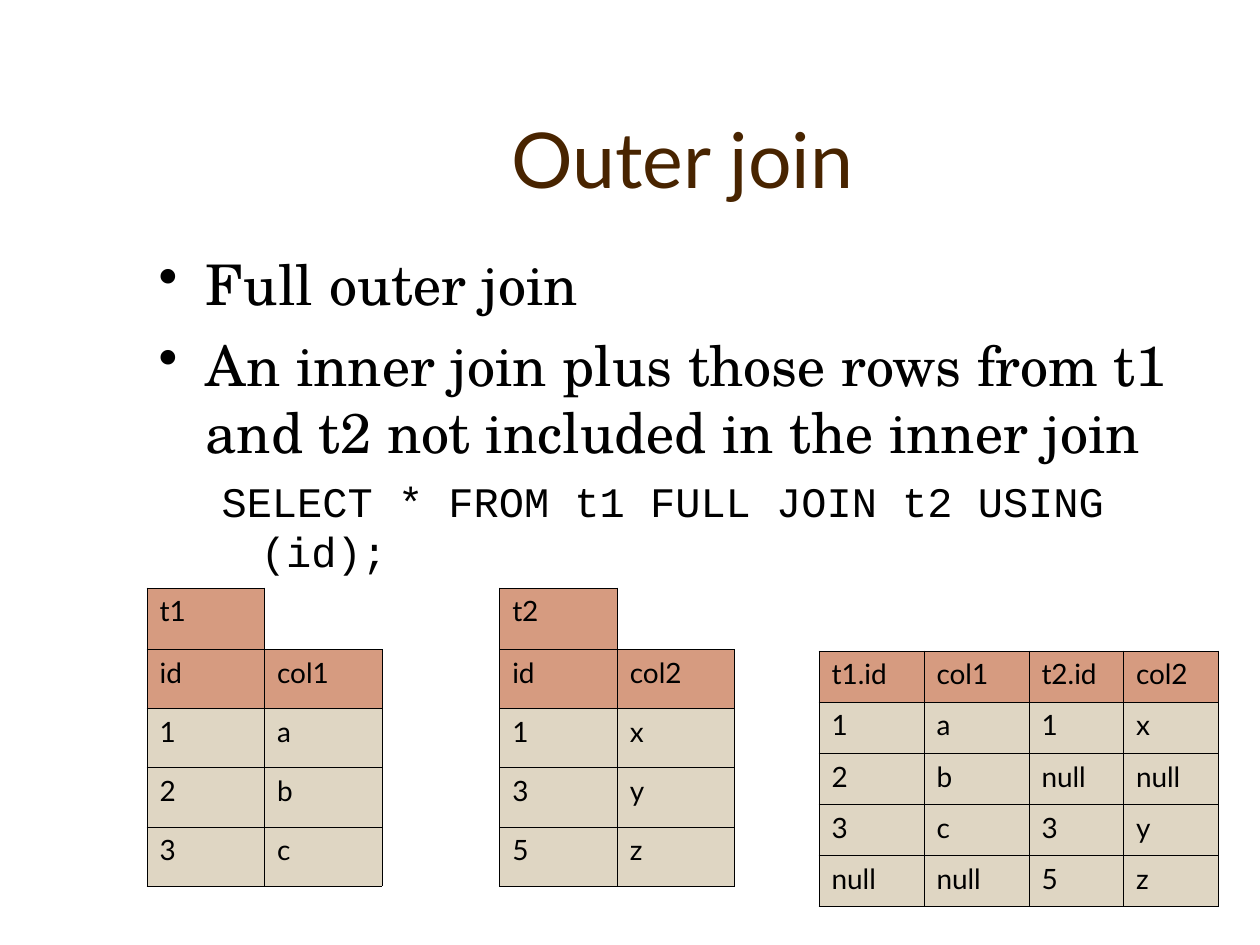
from lxml import etree
from pptx import Presentation
from pptx.dml.color import RGBColor
from pptx.enum.text import MSO_ANCHOR, PP_ALIGN
from pptx.oxml.ns import qn
from pptx.util import Pt

CENTER = PP_ALIGN.CENTER
TOP, BOTTOM = MSO_ANCHOR.TOP, MSO_ANCHOR.BOTTOM

# Content
TITLE = "Outer join"
POINTS = [
    "Full outer join",
    "An inner join plus those rows from t1 and t2 not included in the inner join",
]
QUERY = "SELECT * FROM t1 FULL JOIN t2 USING (id);"
SOURCE_ROWS = [
    ["t1", "", "", "t2", ""],
    ["id", "col1", "", "id", "col2"],
    ["1", "a", "", "1", "x"],
    ["2", "b", "", "3", "y"],
    ["3", "c", "", "5", "z"],
]
JOINED_ROWS = [
    ["t1.id", "col1", "t2.id", "col2"],
    ["1", "a", "1", "x"],
    ["2", "b", "null", "null"],
    ["3", "c", "3", "y"],
    ["null", "null", "5", "z"],
]

# Look
BLACK, BROWN = "000000", "482400"
HEADER_FILL, BODY_FILL = "D69B80", "DFD6C3"
HEADING_FONT, BODY_FONT, CODE_FONT = "Lato", "TeX Gyre Schola", "Courier New"
PLAIN_TABLE_STYLE = "{2D5ABB26-0587-4C30-8999-92F81FD0307C}"
BORDER_WIDTH = 0.45
EDGES = {"a:lnL": (0, -1), "a:lnR": (0, 1), "a:lnT": (-1, 0), "a:lnB": (1, 0)}


def color(hex_code):
    return RGBColor.from_string(hex_code)


def style(paragraph, font_name, size, hex_code=BLACK, before=0):
    paragraph.space_before = Pt(before)
    for run in paragraph.runs:
        run.font.name = font_name
        run.font.size = Pt(size)
        run.font.color.rgb = color(hex_code)


def indent(paragraph, left, first, bullet=None):
    props = paragraph._p.get_or_add_pPr()
    props.set("marL", str(Pt(left)))
    props.set("indent", str(Pt(first)))
    if bullet:
        bullet_color = etree.SubElement(props, qn("a:buClr"))
        etree.SubElement(bullet_color, qn("a:srgbClr"), val=BLACK)
        etree.SubElement(props, qn("a:buChar"), char=bullet)
    else:
        etree.SubElement(props, qn("a:buNone"))


def add_text(slide, left, top, width, height, text, anchor):
    frame = slide.shapes.add_textbox(Pt(left), Pt(top), Pt(width), Pt(height)).text_frame
    frame.word_wrap = True
    frame.vertical_anchor = anchor
    frame.text = text
    return frame


def set_border(cell, edge, visible):
    line = etree.SubElement(cell._tc.get_or_add_tcPr(), qn(edge), w=str(Pt(BORDER_WIDTH)))
    if visible:
        fill = etree.SubElement(line, qn("a:solidFill"))
        etree.SubElement(fill, qn("a:srgbClr"), val=BLACK)
    else:
        etree.SubElement(line, qn("a:noFill"))


def add_grid(slide, left, top, col_widths, row_heights, rows, header_count):
    frame = slide.shapes.add_table(len(rows), len(col_widths), Pt(left), Pt(top),
                                   Pt(sum(col_widths)), Pt(sum(row_heights)))
    grid = frame.table
    frame._element.find(".//" + qn("a:tableStyleId")).text = PLAIN_TABLE_STYLE
    for column, width in zip(grid.columns, col_widths):
        column.width = Pt(width)
    for row, height in zip(grid.rows, row_heights):
        row.height = Pt(height)

    filled = {(r, c) for r, row in enumerate(rows) for c, text in enumerate(row) if text}
    for r, row in enumerate(rows):
        for c, text in enumerate(row):
            cell = grid.cell(r, c)
            # An edge shows when a filled cell lies on either side of it
            for edge, (down, right) in EDGES.items():
                set_border(cell, edge, bool({(r, c), (r + down, c + right)} & filled))
            if text:
                cell.fill.solid()
                cell.fill.fore_color.rgb = color(HEADER_FILL if r < header_count else BODY_FILL)
                cell.text_frame.text = text
                style(cell.text_frame.paragraphs[0], HEADING_FONT, 16, before=4)
            else:
                cell.fill.background()


def main():
    deck = Presentation()
    deck.slide_width, deck.slide_height = Pt(720), Pt(540)
    slide = deck.slides.add_slide(deck.slide_layouts[6])

    # Title
    title = add_text(slide, 84, 30, 612, 90, TITLE, BOTTOM).paragraphs[0]
    title.alignment = CENTER
    style(title, HEADING_FONT, 44, BROWN)

    # Bulleted points, then the query
    body = add_text(slide, 83.5, 139, 618.5, 324, "\n".join(POINTS), TOP)
    for point in body.paragraphs:
        style(point, BODY_FONT, 32, before=8)
        indent(point, 27, -27, "•")
    query = body.add_paragraph()
    query.text = QUERY
    query.level = 1
    style(query, CODE_FONT, 24, before=6)
    indent(query, 58.5, -22.5)

    # Source tables side by side, and the joined result
    add_grid(slide, 84, 336, [67.2] * 5, [35.2] + [33.8] * 4, SOURCE_ROWS, 2)
    add_grid(slide, 468, 372, [60, 60, 54, 54], [29.2] * 5, JOINED_ROWS, 1)

    deck.save("out.pptx")


if __name__ == "__main__":
    main()
